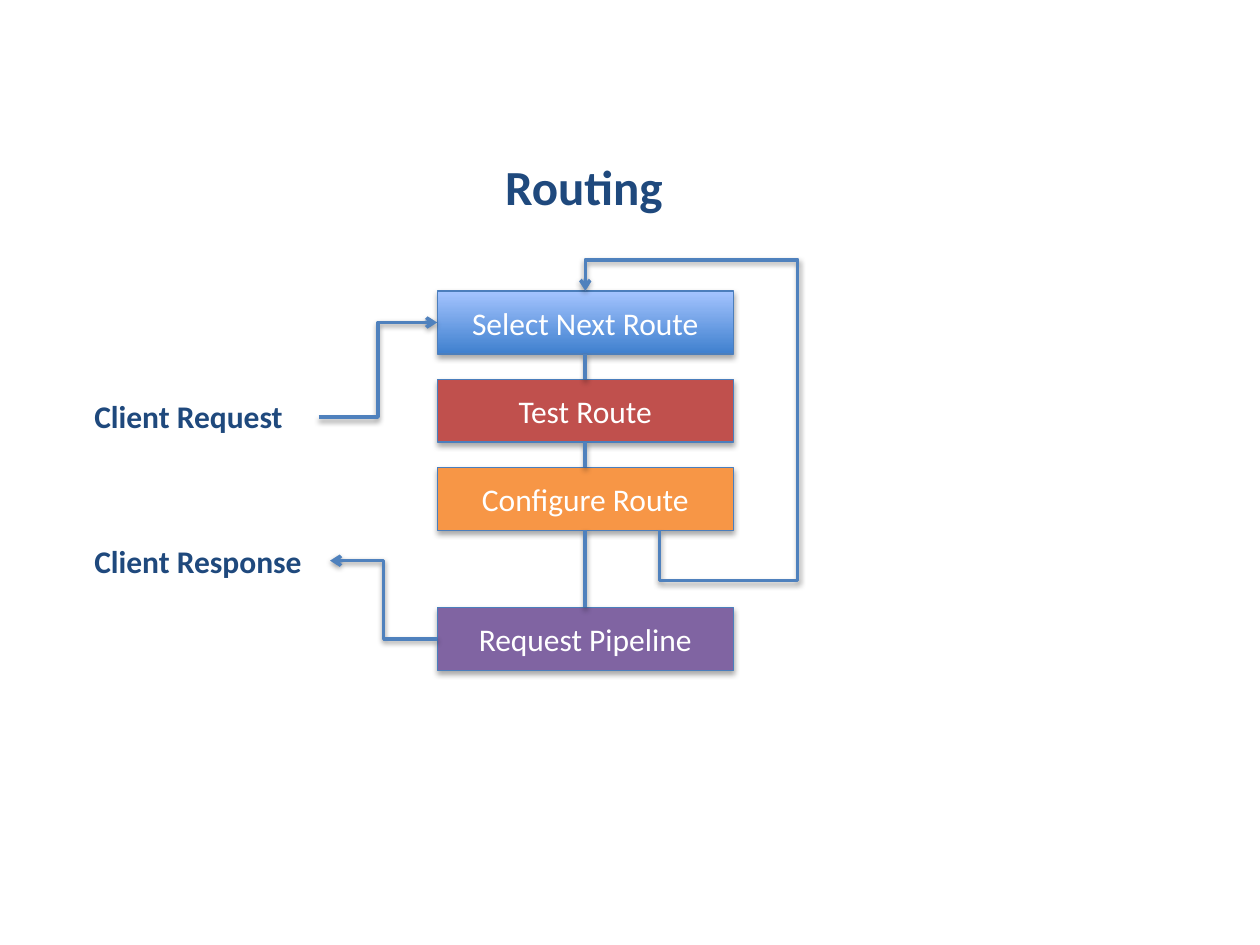
import pptx
import pptx.util
import pptx.dml.color
import pptx.enum.shapes
import pptx.enum.text
import pptx.oxml
import pptx.oxml.ns
import lxml.etree

Inches = pptx.util.Inches
ALIGN = pptx.enum.text.PP_ALIGN
ANCHOR = pptx.enum.text.MSO_ANCHOR
KIND = pptx.enum.shapes.MSO_CONNECTOR
NAVY, WHITE, EDGE, BLUE = "1F497D", "FFFFFF", "4B7EBC", "4F81BD"


def color(code):
    """Turn a hex string into a colour."""
    return pptx.dml.color.RGBColor.from_string(code)


def apply(item, values):
    """Set each attribute named in a dict."""
    for name, value in values.items():
        setattr(item, name, value)


def node(parent, tag, **attrs):
    """Add a drawing element below a parent."""
    return lxml.etree.SubElement(parent, pptx.oxml.ns.qn("a:" + tag), attrs)


def shade(effects, dist, alpha):
    """Put a soft downward shadow in an effect list."""
    shadow = node(effects, "outerShdw", blurRad="40000", dist=str(dist),
                  dir="5400000", rotWithShape="0")
    black = node(shadow, "srgbClr", val="000000")
    node(black, "alpha", val=str(alpha * 1000))


class Chart:
    """Holds the style and the current slide."""

    font = "Calibri"

    def __init__(self, deck):
        """Start a slide that has only a title."""
        self.slide = deck.slides.add_slide(deck.slide_layouts[5])

    def words(self, shape, text, size, code, bold=False, **frame):
        """Fill a shape with one styled line of text."""
        apply(shape.text_frame, frame)
        para = shape.text_frame.paragraphs[0]
        run = para.add_run()
        run.text = text
        apply(run.font, {"name": self.font, "size": pptx.util.Pt(size), "bold": bold})
        run.font.color.rgb = color(code)
        return para

    def title(self, text, left, top, width, height):
        """Move and fill the title placeholder."""
        shape = self.slide.shapes.title
        apply(shape, {"left": Inches(left), "top": Inches(top),
                      "width": Inches(width), "height": Inches(height)})
        para = self.words(shape, text, 28, NAVY, True, word_wrap=False,
                          vertical_anchor=ANCHOR.TOP,
                          auto_size=pptx.enum.text.MSO_AUTO_SIZE.NONE)
        para.alignment = ALIGN.LEFT

    def label(self, text, left, top, width):
        """Add a bold label."""
        shape = self.slide.shapes.add_textbox(
            Inches(left), Inches(top), Inches(width), Inches(0.4))
        self.words(shape, text, 18, NAVY, True, word_wrap=True)

    def box(self, text, left, top, width, height, fills):
        """Add a step, with a plain fill or an upward blend of two colours."""
        shape = self.slide.shapes.add_shape(
            pptx.enum.shapes.MSO_SHAPE.RECTANGLE,
            Inches(left), Inches(top), Inches(width), Inches(height))
        if len(fills) == 1:
            shape.fill.solid()
            shape.fill.fore_color.rgb = color(fills[0])
        else:
            shape.fill.gradient()
            shape.fill.gradient_angle = 90
            for place, (stop, code) in enumerate(zip(shape.fill.gradient_stops, fills)):
                stop.color.rgb = color(code)
                stop.position = place
        shape.line.color.rgb = color(EDGE)
        shape.line.width = pptx.util.Pt(0.75)
        shape.shadow.inherit = False
        shade(shape._element.spPr.find(pptx.oxml.ns.qn("a:effectLst")), 23000, 35)
        para = self.words(shape, text, 18, WHITE, vertical_anchor=ANCHOR.MIDDLE)
        para.alignment = ALIGN.CENTER

    def link(self, start, end, kind=KIND.STRAIGHT, arrow=False):
        """Join two points with a line."""
        line = self.slide.shapes.add_connector(
            kind, *[Inches(n) for n in (*start, *end)])
        line.line.color.rgb = color(BLUE)
        line.line.width = pptx.util.Pt(2)
        props = line._element.spPr
        if arrow:
            node(props.find(pptx.oxml.ns.qn("a:ln")), "tailEnd", type="arrow")
        shade(node(props, "effectLst"), 20000, 38)
        return line

    def loop(self, start, end, bends):
        """Join two points by a five-part arrow that leaves downward."""
        mid_x, mid_y = (start[0] + end[0]) / 2, (start[1] + end[1]) / 2
        turned = [(mid_x - (y - mid_y), mid_y + (x - mid_x)) for x, y in (start, end)]
        props = self.link(*turned, KIND.ELBOW, True)._element.spPr
        props.find(pptx.oxml.ns.qn("a:xfrm")).set("rot", "16200000")
        shape = props.find(pptx.oxml.ns.qn("a:prstGeom"))
        shape.set("prst", "bentConnector5")
        guides = shape.find(pptx.oxml.ns.qn("a:avLst"))
        if guides is None:
            guides = node(shape, "avLst")
        for place, bend in enumerate(bends, 1):
            node(guides, "gd", name=f"adj{place}", fmla=f"val {round(bend * 100000)}")


deck = pptx.Presentation()
apply(deck, {"slide_width": Inches(10), "slide_height": Inches(7.5)})
chart = Chart(deck)
chart.title("Routing", 3.91, 1.19, 1.47, 0.57)

left, wide, high = 3.47, 2.35, 0.5
mid = left + wide / 2
steps = [("Select Next Route", 2.31, ["3F80CE", "A4C4FF"]),
         ("Test Route", 3.01, ["C0504D"]),
         ("Configure Route", 3.71, ["F79646"]),
         ("Request Pipeline", 4.82, ["8064A2"])]
tops = [top for _, top, _ in steps]
for text, top, fills in steps:
    chart.box(text, left, top, wide, high, fills)
for top, below in zip(tops, tops[1:]):
    chart.link((mid, top + high), (mid, below))

chart.label("Client Request", 0.65, 3.1, 1.88)
chart.label("Client Response", 0.65, 4.25, 1.97)
chart.link((2.53, 3.31), (left, tops[0] + high / 2), KIND.ELBOW, True)
chart.link((left, tops[3] + high / 2), (2.62, 4.45), KIND.ELBOW, True)
chart.loop((left + wide * 0.75, tops[2] + high), (mid, tops[0]), [-0.21, -1.87, 1.13])

deck.save("out.pptx")
